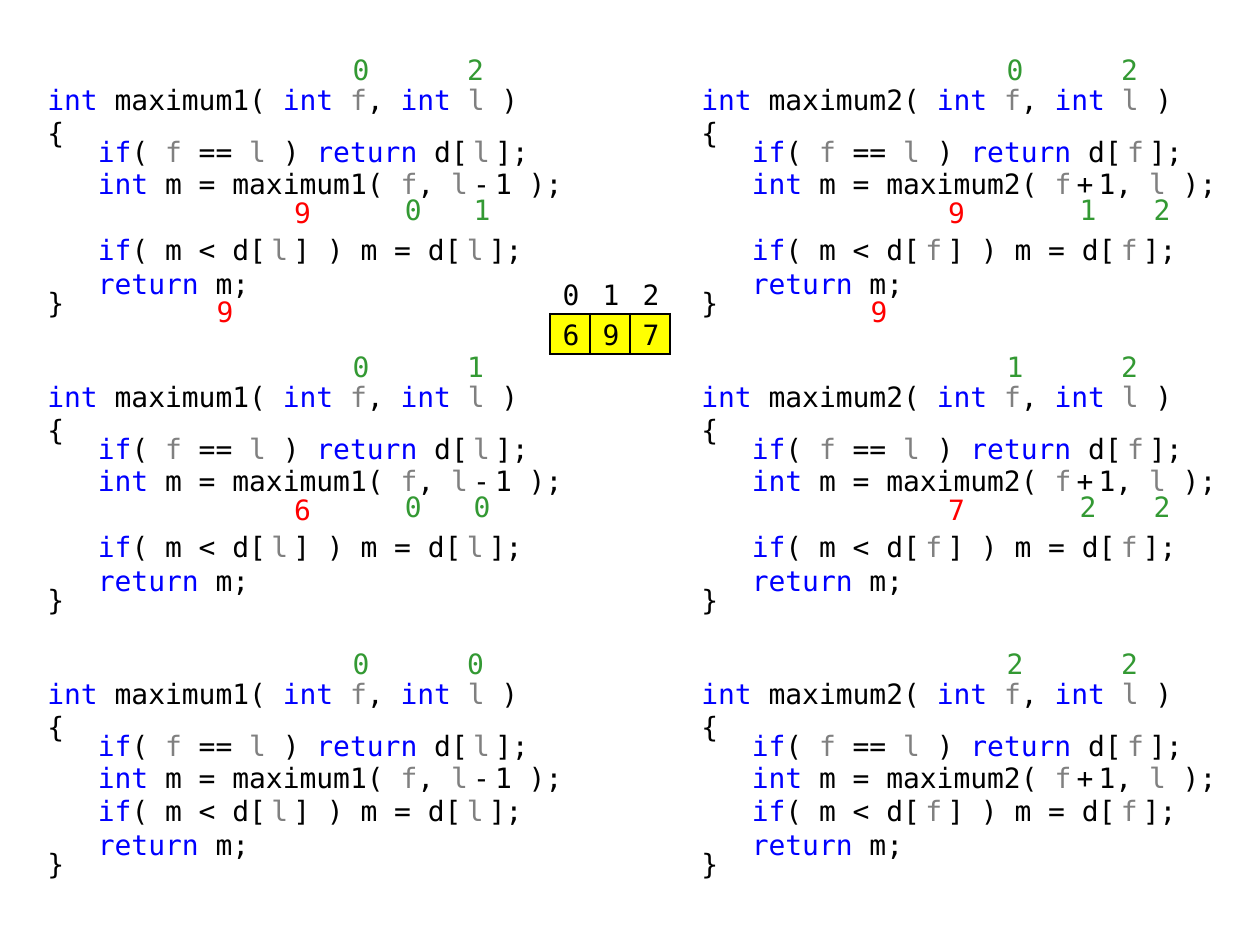
from lxml import etree
from pptx import Presentation
from pptx import util as u
from pptx.dml.color import RGBColor
from pptx.enum import text
from pptx.oxml import ns

PX = u.Inches(1) / 126
BLUE, GREY, BLACK = "0000FF", "808080", "000000"
GREEN, RED, YELLOW = "339933", "FF0000", "FFFF00"
HUES = {"int": BLUE, "if": BLUE, "return": BLUE, "f": GREY, "l": GREY}


def px(n):
    return u.Emu(round(n * PX))


def style(font, hue):
    font.name = "DejaVu Sans Mono"
    font.size = u.Pt(16)
    font.color.rgb = RGBColor.from_string(hue)


deck = Presentation()
deck.slide_width, deck.slide_height = px(1260), px(945)
slide = deck.slides.add_slide(deck.slide_layouts[6])

# A tilde marks a run with wide letter spacing.
calls = ["f|, |~l|~-|1 );", "~f|~+|1, |l| );"]
for col, (name, var, args) in enumerate(zip(("maximum1", "maximum2"), "lf", calls)):
    lines = [
        f"int| {name}( |int| |f|, |int| |l| )",
        "{",
        f"   |if|( |f| == |l| ) |return| d|~[|~{var}|];",
        f"   |int| m = {name}( |{args}",
        f"   |if|( m < d|~[|~{var}|] ) m = d|~[|~{var}|];",
        "   |return| m;",
        "}",
    ]
    for row in range(3):
        box = slide.shapes.add_textbox(
            px(35 + 654 * col), px(76 + 297 * row), px(535), px(218 if row == 2 else 238))
        frame = box.text_frame
        frame.word_wrap = True
        frame.margin_right = 0
        for i, line in enumerate(lines):
            para = frame.paragraphs[0] if i == 0 else frame.add_paragraph()
            style(para.font, BLACK)
            if i in (2, 6):
                para.line_spacing = 0.5
            if i == 4 and row < 2:
                para.space_before = px(33)
            for part in line.split("|"):
                word = part.lstrip("~")
                run = para.add_run()
                run.text = word
                style(run.font, HUES.get(word, BLACK))
                if part != word:
                    run.font._element.set("spc", "300")

grid = slide.shapes.add_table(2, 3, px(550), px(274), px(120), px(80)).table
grid.first_row = grid.horz_banding = False
for r, digits in enumerate(("012", "697")):
    grid.rows[r].height = px(40)
    for c, digit in enumerate(digits):
        grid.columns[c].width = px(40)
        cell = grid.cell(r, c)
        cell.margin_top, cell.margin_bottom = px(3), 0
        cell.vertical_anchor = text.MSO_ANCHOR.MIDDLE
        cell.text = digit
        para = cell.text_frame.paragraphs[0]
        para.alignment = text.PP_ALIGN.CENTER
        style(para.font, BLACK)
        style(para.runs[0].font, BLACK)
        props = cell._tc.get_or_add_tcPr()
        for side in ("lnL", "lnR", "lnT", "lnB") if r else ("lnB",):
            edge = etree.SubElement(props, ns.qn("a:" + side), w=str(u.Pt(1.5)))
            fill = etree.SubElement(edge, ns.qn("a:solidFill"))
            etree.SubElement(fill, ns.qn("a:srgbClr"), val=BLACK)
        if r:
            cell.fill.solid()
            cell.fill.fore_color.rgb = RGBColor.from_string(YELLOW)
        else:
            cell.fill.background()

first = (333, -21, 59, 10, 13, 10, GREEN)
last = (451, -21, 59, 3, 13, 10, GREEN)
value = (273, 119, 59, 13, 13, 5, RED)
result = (194, 218, 59, 13, 10, 5, RED)
args = [
    [(392, 119, 39, 13, 13, 10, GREEN), (451, 119, 59, 13, 10, 10, GREEN)],
    [(412, 119, 39, 13, 8, 10, GREEN), (472, 119, 59, 13, 0, 10, GREEN)],
]
notes = [["020199", "01006", "00"], ["021299", "12227", "22"]]
for col, traces in enumerate(notes):
    spots = [first, last, *args[col], value, result]
    for row, trace in enumerate(traces):
        for digit, (x, y, wide, left, right, low, hue) in zip(trace, spots):
            box = slide.shapes.add_textbox(
                px(x + 654 * col), px(76 + 297 * row + y), px(wide), px(39))
            frame = box.text_frame
            frame.word_wrap = False
            frame.vertical_anchor = text.MSO_ANCHOR.MIDDLE
            frame.margin_left, frame.margin_right = px(left), px(right)
            frame.margin_top, frame.margin_bottom = 0, px(low)
            para = frame.paragraphs[0]
            para.text = digit
            para.alignment = text.PP_ALIGN.CENTER
            style(para.font, hue)
            style(para.runs[0].font, hue)

deck.save("out.pptx")
